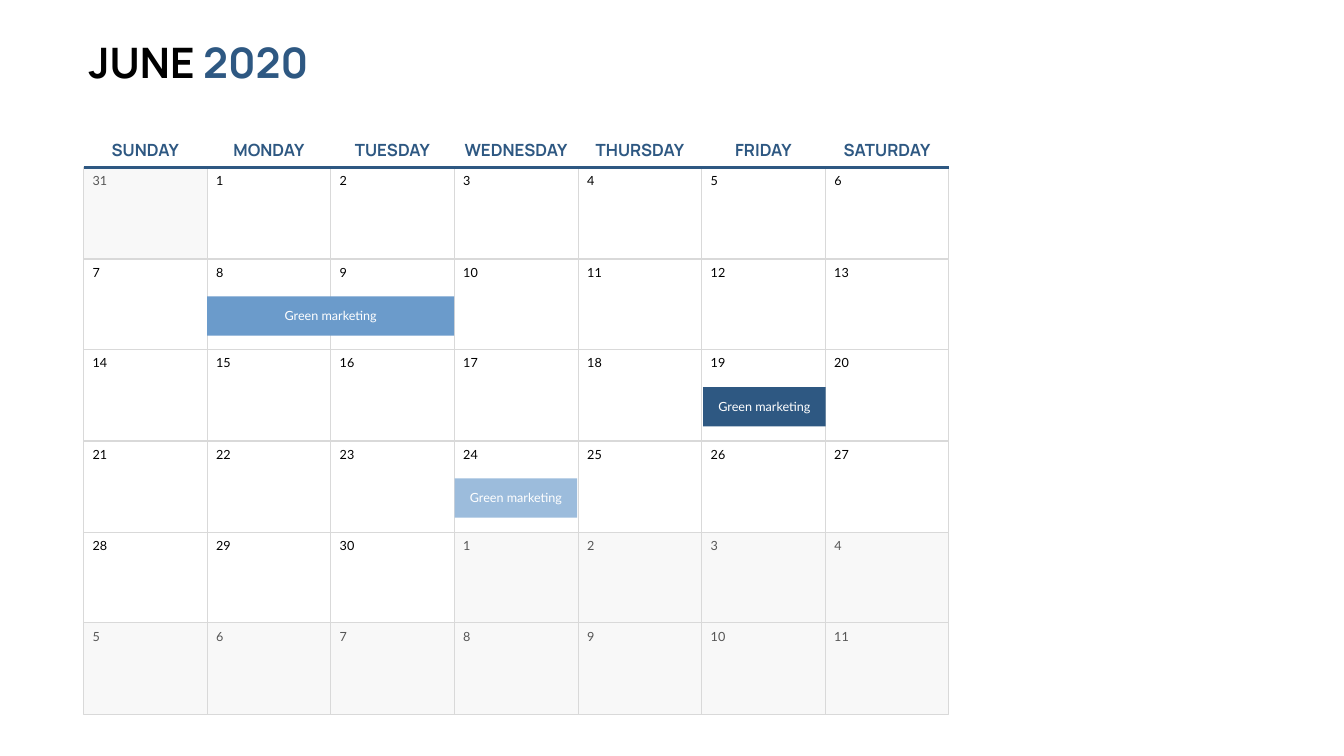
from dataclasses import dataclass

from lxml.etree import SubElement
from pptx import Presentation
from pptx.dml.color import RGBColor
from pptx.enum.shapes import MSO_CONNECTOR as Connector, MSO_SHAPE as Shape
from pptx.enum.text import MSO_ANCHOR as Anchor, MSO_AUTO_SIZE as AutoSize, PP_ALIGN as Align
from pptx.oxml.ns import qn
from pptx.util import Pt

PX = 9144  # 100 px to the inch


@dataclass(frozen=True)
class Theme:
    ink: str = "000000"
    muted: str = "565656"
    white: str = "FFFFFF"
    outside: str = "F2F2F2"
    grid: str = "D9D9D9"
    navy: str = "2E5882"
    blue: str = "6B9BCB"
    sky: str = "9CBCDC"
    heading_font: str = "Manrope"
    body_font: str = "Lato"
    title_size: int = 60
    weekday_size: int = 24
    body_size: int = 18


@dataclass(frozen=True)
class Box:
    left: int
    top: int
    width: int
    height: int

    def emu(self):
        return [side * PX for side in (self.left, self.top, self.width, self.height)]

    def inner(self, left, top, width, height):
        return Box(self.left + left, self.top + top, width, height)

    def cell(self, row, column, rows, columns):
        left, right = (round(self.width * i / columns) for i in (column, column + 1))
        top, bottom = (round(self.height * i / rows) for i in (row, row + 1))
        return self.inner(left, top, right - left, bottom - top)


THEME = Theme()
WEEKS = 6
# Name and width of each heading
WEEKDAYS = [("SUNDAY", 162), ("MONDAY", 175), ("TUESDAY", 175), ("WEDNESDAY", 235),
            ("THURSDAY", 203), ("FRIDAY", 143), ("SATURDAY", 203)]
# Day number and whether it belongs to the month
DAYS = [(31, False), *((day, True) for day in range(1, 31)),
        *((day, False) for day in range(1, 12))]
# Label, week, weekday, shift from the cell, width, text inset, colour
EVENTS = [("Green marketing", 1, 1, 0, 490, 24, THEME.blue),
          ("Green marketing", 3, 3, 1, 243, 16, THEME.sky),
          ("Green marketing", 2, 5, 3, 243, 16, THEME.navy)]


def add_text(shapes, box, *spans, font, size, bold=False, align=Align.LEFT,
             anchor=Anchor.TOP, wrap=False):
    """Each span is a pair of text and colour."""
    frame = shapes.add_textbox(*box.emu()).text_frame
    frame.word_wrap = wrap
    frame.auto_size = AutoSize.SHAPE_TO_FIT_TEXT
    frame.vertical_anchor = anchor
    para = frame.paragraphs[0]
    para.alignment = align
    for text, color in spans:
        span = para.add_run()
        span.text = text
        span.font.name = font
        span.font.size = Pt(size)
        span.font.bold = bold
        span.font.color.rgb = RGBColor.from_string(color)


def add_rect(shapes, box, fill, line=None, opacity=100):
    rect = shapes.add_shape(Shape.RECTANGLE, *box.emu())
    rect.shadow.inherit = False
    rect.fill.solid()
    rect.fill.fore_color.rgb = RGBColor.from_string(fill)
    if opacity < 100:
        color = rect.fill._xPr.find(qn("a:solidFill"))[0]
        SubElement(color, qn("a:alpha"), val=str(opacity * 1000))
    if line:
        rect.line.color.rgb = RGBColor.from_string(line)
        rect.line.width = Pt(1.5)
    else:
        rect.line.fill.background()


def add_title(page, box):
    add_text(page.shapes, box, ("JUNE ", THEME.ink), ("2020", THEME.navy),
             font=THEME.heading_font, size=THEME.title_size, bold=True)


def add_days(page, box):
    for index, (day, in_month) in enumerate(DAYS):
        cell = box.cell(*divmod(index, len(WEEKDAYS)), WEEKS, len(WEEKDAYS))
        add_rect(page.shapes, cell, THEME.white if in_month else THEME.outside,
                 line=THEME.grid, opacity=100 if in_month else 50)
        add_text(page.shapes, cell.inner(8, 6, 35 if day < 10 else 50, 40),
                 (str(day), THEME.ink if in_month else THEME.muted),
                 font=THEME.body_font, size=THEME.body_size, anchor=Anchor.MIDDLE)


def add_weekdays(page, box):
    for column, (name, width) in enumerate(WEEKDAYS):
        cell = box.cell(0, column, 1, len(WEEKDAYS))
        add_text(page.shapes, cell.inner((cell.width - width) // 2, 0, width, 50),
                 (name, THEME.navy), font=THEME.heading_font, size=THEME.weekday_size,
                 bold=True, align=Align.CENTER, anchor=Anchor.MIDDLE)
    # Rule under the headings
    bottom = (box.top + box.height) * PX
    rule = page.shapes.add_connector(Connector.STRAIGHT, box.left * PX, bottom,
                                     (box.left + box.width) * PX, bottom)
    rule.line.color.rgb = RGBColor.from_string(THEME.navy)
    rule.line.width = Pt(4.5)
    SubElement(rule._element.spPr, qn("a:effectLst"))


def add_events(page, box):
    for label, week, weekday, shift, width, inset, color in EVENTS:
        cell = box.cell(week, weekday, WEEKS, len(WEEKDAYS))
        bar = cell.inner(shift, 74, width, 78)
        group = page.shapes.add_group_shape()
        add_rect(group.shapes, bar, color)
        add_text(group.shapes, bar.inner(inset, 19, width - 2 * inset, 40),
                 (label, THEME.white), font=THEME.body_font, size=THEME.body_size,
                 align=Align.CENTER, wrap=True)


def main():
    deck = Presentation()
    deck.slide_width, deck.slide_height = 2666 * PX, 1500 * PX
    page = deck.slides.add_slide(deck.slide_layouts[6])
    month = Box(166, 333, 1716, 1084)
    add_title(page, Box(166, 67, 461, 111))
    add_days(page, month)
    add_weekdays(page, Box(166, 272, 1716, 61))
    add_events(page, month)
    deck.save("out.pptx")


if __name__ == "__main__":
    main()
